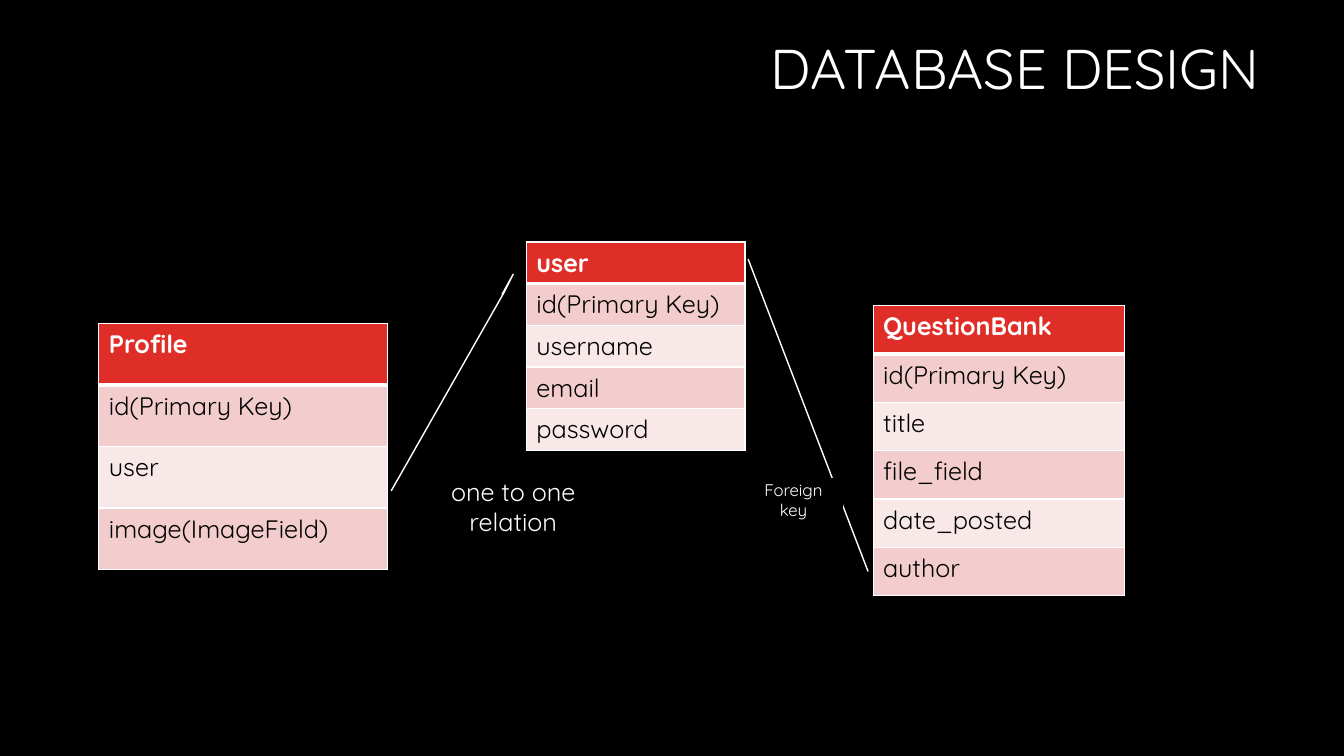
"""Build the database design slide: three entity tables and their relations."""
import pptx
import pptx.dml.color
import pptx.enum.shapes
import pptx.enum.text
import pptx.oxml
import pptx.oxml.ns
import pptx.util
from dataclasses import dataclass

Inches = pptx.util.Inches
Align = pptx.enum.text.PP_ALIGN
Middle = pptx.enum.text.MSO_ANCHOR.MIDDLE


@dataclass(frozen=True)
class Theme:
    font: str = "Quicksand"
    black: str = "000000"
    white: str = "FFFFFF"
    header: str = "DF2E28"
    bands: tuple = ("F3CDCD", "F9E8E8")
    title_size: int = 40
    body_size: int = 18
    small_size: int = 12
    thin: int = 1
    thick: int = 3


theme = Theme()

TITLE = ("DATABASE DESIGN", (3.17, 0.33, 9.42, 0.76))
ENTITIES = [
    ("user", ["id(Primary Key)", "username", "email", "password"], (5.22, 2.4, 2.17), 0.41),
    ("Profile", ["id(Primary Key)", "user", "image(ImageField)"], (0.98, 3.21, 2.86), 0.61),
    ("QuestionBank", ["id(Primary Key)", "title", "file_field", "date_posted", "author"],
     (8.66, 3.03, 2.49), 0.48),
]
RELATIONS = [
    ([(3.88, 4.87), (5, 2.9), (5.09, 2.72), (4.98, 2.92)],
     "one to one relation", (4.15, 4.75, 1.88, 0.55), theme.body_size),
    ([(7.42, 2.57), (8.61, 5.67)],
     "Foreign key", (7.39, 4.75, 0.96, 0.41), theme.small_size),
]


def color(code):
    return pptx.dml.color.RGBColor.from_string(code)


def fill(target, code):
    target.fill.solid()
    target.fill.fore_color.rgb = color(code)


def outline(shape, code):
    shape.line.color.rgb = color(code)
    shape.line.width = pptx.util.Pt(theme.thin)


def write(frame, text, size, code, align=Align.LEFT, bold=False):
    para = frame.paragraphs[0]
    para.alignment = align
    span = para.add_run()
    span.text = text
    span.font.name = theme.font
    span.font.size = pptx.util.Pt(size)
    span.font.bold = bold
    span.font.color.rgb = color(code)
    return para


def border(cell, **widths):
    properties = cell._tc.get_or_add_tcPr()
    for side in "LRTB":
        width = pptx.util.Pt(widths.get(side, theme.thin))
        properties.append(pptx.oxml.parse_xml(
            f'<a:ln{side} {pptx.oxml.ns.nsdecls("a")} w="{width}"><a:solidFill>'
            f'<a:srgbClr val="{theme.white}"/></a:solidFill></a:ln{side}>'))


def add_entity(page, name, fields, place, row_height):
    left, top, width = map(Inches, place)
    labels = [name, *fields]
    height = Inches(row_height * len(labels))
    table = page.shapes.add_table(len(labels), 1, left, top, width, height).table
    for index, label in enumerate(labels):
        table.rows[index].height = Inches(row_height)
        cell = table.cell(index, 0)
        header = index == 0
        border(cell, **({"B": theme.thick} if header else {"T": theme.thick} if index == 1 else {}))
        fill(cell, theme.header if header else theme.bands[(index - 1) % 2])
        write(cell.text_frame, label, theme.body_size,
              theme.white if header else theme.black, bold=header)


def add_link(page, points):
    if len(points) == 2:
        start, end = points
        link = page.shapes.add_connector(
            pptx.enum.shapes.MSO_CONNECTOR.STRAIGHT, *map(Inches, (*start, *end)))
        link._element.spPr.append(
            pptx.oxml.parse_xml(f'<a:effectLst {pptx.oxml.ns.nsdecls("a")}/>'))
    else:
        start, *rest = [tuple(map(Inches, point)) for point in points]
        builder = page.shapes.build_freeform(*start)
        builder.add_line_segments(rest, close=False)
        link = builder.convert_to_shape()
        link.fill.background()
        link.shadow.inherit = False
    outline(link, theme.white)


def add_label(page, text, place, size):
    box = page.shapes.add_shape(
        pptx.enum.shapes.MSO_SHAPE.RECTANGLE, *map(Inches, place))
    box.shadow.inherit = False
    fill(box, theme.black)
    outline(box, theme.black)
    box.text_frame.word_wrap = True
    box.text_frame.vertical_anchor = Middle
    write(box.text_frame, text, size, theme.white, Align.CENTER)


deck = pptx.Presentation()
deck.slide_width, deck.slide_height = Inches(13.33), Inches(7.5)
page = deck.slides.add_slide(deck.slide_layouts[5])
fill(page.background, theme.black)

text, place = TITLE
title = page.shapes.title
title.left, title.top, title.width, title.height = map(Inches, place)
title.text_frame.auto_size = pptx.enum.text.MSO_AUTO_SIZE.NONE
title.text_frame.vertical_anchor = Middle
write(title.text_frame, text, theme.title_size, theme.white, Align.RIGHT).line_spacing = 0.9

for entity in ENTITIES:
    add_entity(page, *entity)
for points, *label in RELATIONS:
    add_link(page, points)
    add_label(page, *label)

deck.save("out.pptx")
